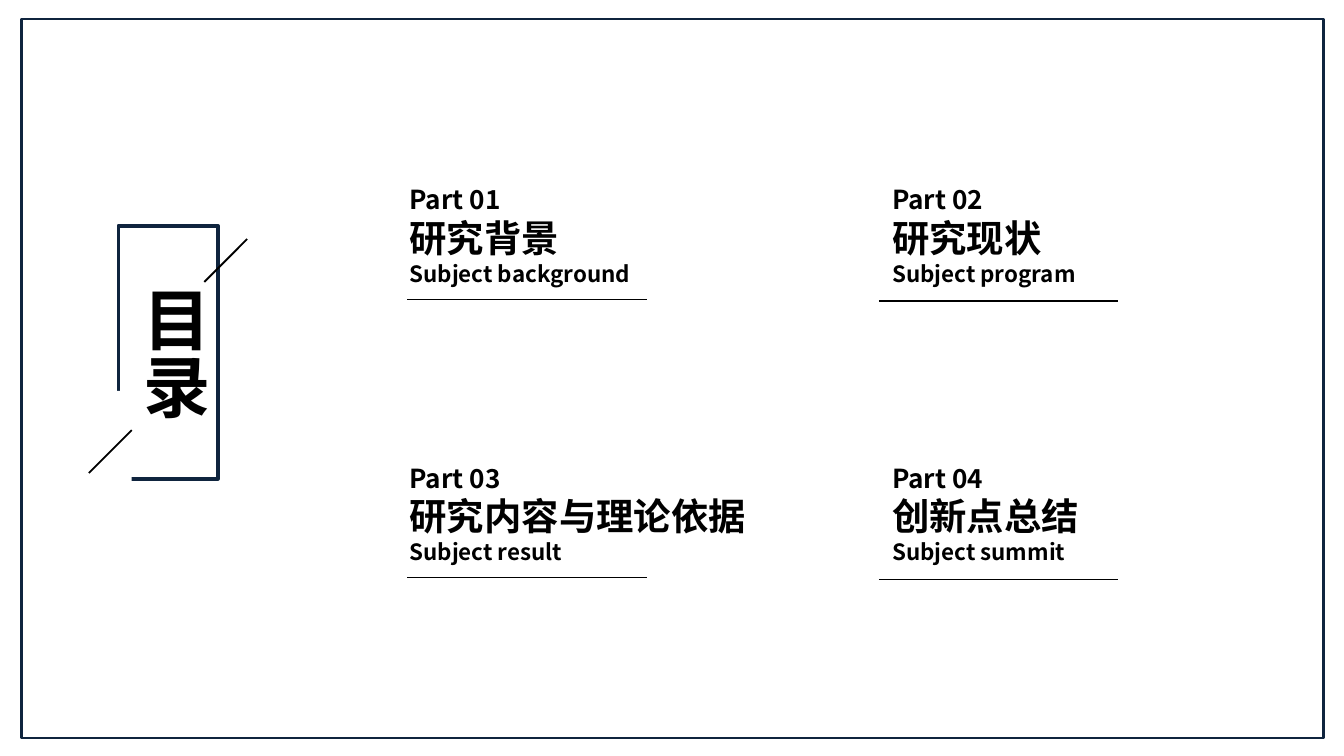
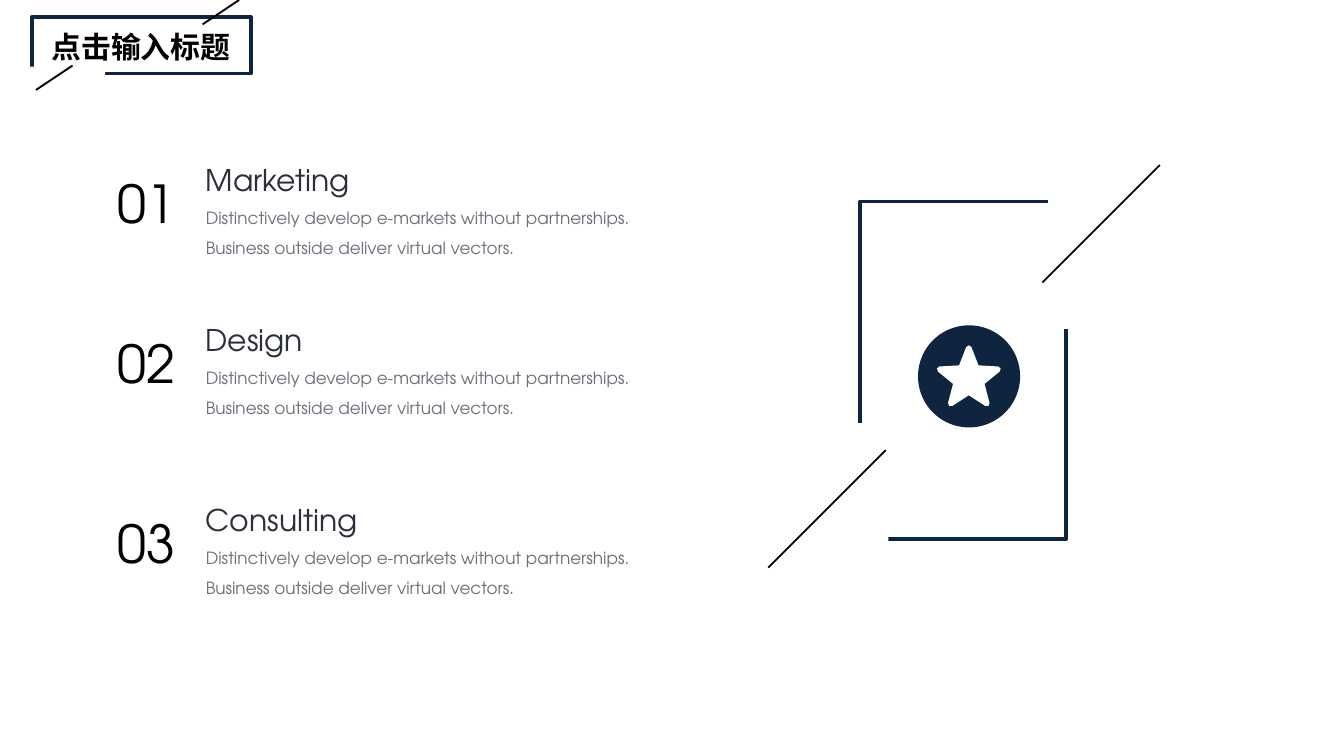
from dataclasses import dataclass
from math import cos, pi, sin
from typing import Optional

from lxml import etree
from pptx import Presentation, dml, util as u
from pptx.dml import color
from pptx.enum import shapes, text
from pptx.oxml import ns
from pptx.shapes.autoshape import Shape
from pptx.slide import Slide

COLOURS = {
    "navy": "0F243E",
    "black": "000000",
    "white": "FFFFFF",
    "heading": "2B2F3C",
    "body": "696F78",
}
CJK_FONT = "Noto Sans CJK SC"
TITLE_FONT = "Arial"
LIST_FONT = "TeX Gyre Adventor"


@dataclass(frozen=True)
class Area:
    left: float
    top: float
    width: float
    height: float

    def lengths(self) -> list[u.Length]:
        return [u.Cm(side) for side in (self.left, self.top, self.width, self.height)]


@dataclass(frozen=True)
class Line:
    words: str
    size: float
    font: str
    colour: str = "black"
    bold: bool = False


@dataclass(frozen=True)
class Emblem:
    outline: Area
    gaps: tuple[Area, ...]
    slashes: tuple[tuple[float, float], ...]
    run: float
    drop: float


@dataclass(frozen=True)
class Part:
    number: str
    title: str
    subtitle: str


@dataclass(frozen=True)
class Column:
    text_left: float
    text_width: float
    text_height: float
    rule_left: float
    rule_offset: float


@dataclass(frozen=True)
class Service:
    name: str
    top: float


CONTENTS_EMBLEM = Emblem(
    Area(2.24, 4.27, 1.88, 4.78),
    (Area(2.11, 7.39, 0.38, 2.31),),
    ((4.67, 4.52), (2.49, 8.13)),
    0.81,
    0.81,
)
TITLE_EMBLEM = Emblem(
    Area(0.6, 0.32, 4.14, 1.07),
    (Area(0, 1.26, 1.99, 0.2),),
    ((4.52, 0), (1.37, 1.24)),
    0.69,
    0.46,
)
STAR_EMBLEM = Emblem(
    Area(16.26, 3.81, 3.89, 6.38),
    (Area(19.81, 3.12, 0.79, 3.1), Area(16, 8, 0.79, 3.1)),
    ((21.92, 3.12), (16.74, 8.51)),
    2.22,
    2.22,
)
COLUMNS = (
    Column(7.49, 9.42, 2.31, 7.7, 2.31),
    Column(16.61, 5.11, 2.24, 16.61, 2.34),
)
ROW_TOPS = (3.35, 8.61)
RULE_LENGTH = 4.52
PARTS = (
    Part("Part 01", "研究背景", "Subject background"),
    Part("Part 02", "研究现状", "Subject program"),
    Part("Part 03", "研究内容与理论依据", "Subject result"),
    Part("Part 04", "创新点总结", "Subject summit"),
)
SERVICES = (Service("Marketing", 2.72), Service("Design", 5.74), Service("Consulting", 9.14))
SERVICE_TEXT = (
    "Distinctively develop e-markets without partnerships.",
    "Business outside deliver virtual vectors.",
)


def rgb(name: str) -> color.RGBColor:
    return color.RGBColor.from_string(COLOURS[name])


def paint(shape: Shape, fill: Optional[str] = None, line: Optional[str] = None, width: float = 0) -> None:
    shape.shadow.inherit = False
    if fill:
        shape.fill.solid()
        shape.fill.fore_color.rgb = rgb(fill)
    else:
        shape.fill.background()
    if line:
        shape.line.color.rgb = rgb(line)
        shape.line.width = u.Pt(width)
    else:
        shape.line.fill.background()


def add_panel(
    page: Slide,
    area: Area,
    fill: Optional[str] = None,
    line: Optional[str] = None,
    width: float = 0,
    kind: shapes.MSO_SHAPE = shapes.MSO_SHAPE.RECTANGLE,
) -> None:
    paint(page.shapes.add_shape(kind, *area.lengths()), fill, line, width)


def add_line(page: Slide, left: float, top: float, right: float, bottom: float, width: float) -> None:
    ends = [u.Cm(place) for place in (left, top, right, bottom)]
    connector = page.shapes.add_connector(shapes.MSO_CONNECTOR.STRAIGHT, *ends)
    connector.line.color.rgb = rgb("black")
    connector.line.width = u.Pt(width)
    etree.SubElement(connector.element.spPr, ns.qn("a:effectLst"))


def add_emblem(page: Slide, emblem: Emblem) -> None:
    add_panel(page, emblem.outline, line="navy", width=2)
    for gap in emblem.gaps:
        add_panel(page, gap, fill="white")
    for left, top in emblem.slashes:
        add_line(page, left, top, left - emblem.run, top + emblem.drop, 1)


def add_text(
    page: Slide,
    area: Area,
    lines: list[Line],
    align: text.PP_ALIGN = text.PP_ALIGN.LEFT,
    spacing: float = 1.0,
    tight: bool = False,
) -> Shape:
    box = page.shapes.add_textbox(*area.lengths())
    frame = box.text_frame
    frame.word_wrap = not tight
    frame.auto_size = text.MSO_AUTO_SIZE.SHAPE_TO_FIT_TEXT
    if tight:
        frame.margin_left = frame.margin_top = frame.margin_right = frame.margin_bottom = 0
    frame.text = "\n".join(line.words for line in lines)
    for para, line in zip(frame.paragraphs, lines):
        para.alignment = align
        para.line_spacing = spacing
        span = para.runs[0]
        span.font.size = u.Pt(line.size)
        span.font.bold = line.bold
        span.font.color.rgb = rgb(line.colour)
        span.font.name = line.font
        east_asian = etree.SubElement(span.font._element, ns.qn("a:ea"))
        east_asian.set("typeface", CJK_FONT)
    return box


def add_part(page: Slide, part: Part, column: Column, top: float) -> None:
    lines = [
        Line(words, size, CJK_FONT, bold=True)
        for words, size in ((part.number, 14), (part.title, 20), (part.subtitle, 12))
    ]
    add_text(page, Area(column.text_left, top, column.text_width, column.text_height), lines)
    rule_top = top + column.rule_offset
    add_line(page, column.rule_left, rule_top, column.rule_left + RULE_LENGTH, rule_top, 0.75)


def add_service(page: Slide, number: int, service: Service) -> None:
    lines = [Line(service.name, 16, LIST_FONT, "heading")]
    lines += [Line(words, 9, LIST_FONT, "body") for words in SERVICE_TEXT]
    add_text(page, Area(3.89, service.top, 8.1, 2.18), lines, spacing=1.5, tight=True)
    add_text(page, Area(1.98, service.top + 0.4, 1.88, 1.45), [Line(f"{number:02d}", 28, LIST_FONT)])


def add_star(page: Slide, centre_x: float, centre_y: float, outer: float, inner: float) -> None:
    points = []
    for step in range(10):
        radius = inner if step % 2 else outer
        angle = step * pi / 5
        points.append((u.Cm(centre_x + radius * sin(angle)), u.Cm(centre_y - radius * cos(angle))))
    builder = page.shapes.build_freeform(*points[0])
    builder.add_line_segments(points[1:], close=True)
    paint(builder.convert_to_shape(), "white", "white", 3)


def build_contents(page: Slide) -> None:
    add_panel(page, Area(0.41, 0.36, 24.61, 13.59), line="navy", width=1.5)
    add_emblem(page, CONTENTS_EMBLEM)
    heading = add_text(page, Area(2.13, 5.16, 2.06, 3.12), [Line("目录", 36, TITLE_FONT, bold=True)])
    heading.text_frame._txBody.bodyPr.set("vert", "eaVert")
    for index, part in enumerate(PARTS):
        row, column = divmod(index, len(COLUMNS))
        add_part(page, part, COLUMNS[column], ROW_TOPS[row])


def build_services(page: Slide) -> None:
    add_emblem(page, TITLE_EMBLEM)
    title = Line("点击输入标题", 16, TITLE_FONT, bold=True)
    add_text(page, Area(-0.13, 0.41, 5.59, 0.94), [title], text.PP_ALIGN.CENTER)
    for number, service in enumerate(SERVICES, 1):
        add_service(page, number, service)
    add_emblem(page, STAR_EMBLEM)
    add_panel(page, Area(17.35, 6.15, 1.93, 1.93), fill="navy", kind=shapes.MSO_SHAPE.OVAL)
    add_star(page, 18.31, 7.16, 0.58, 0.25)


def main() -> None:
    deck = Presentation()
    deck.slide_width = u.Cm(25.4)
    deck.slide_height = u.Cm(14.29)
    for build in (build_contents, build_services):
        build(deck.slides.add_slide(deck.slide_layouts[6]))
    deck.save("out.pptx")


if __name__ == "__main__":
    main()
